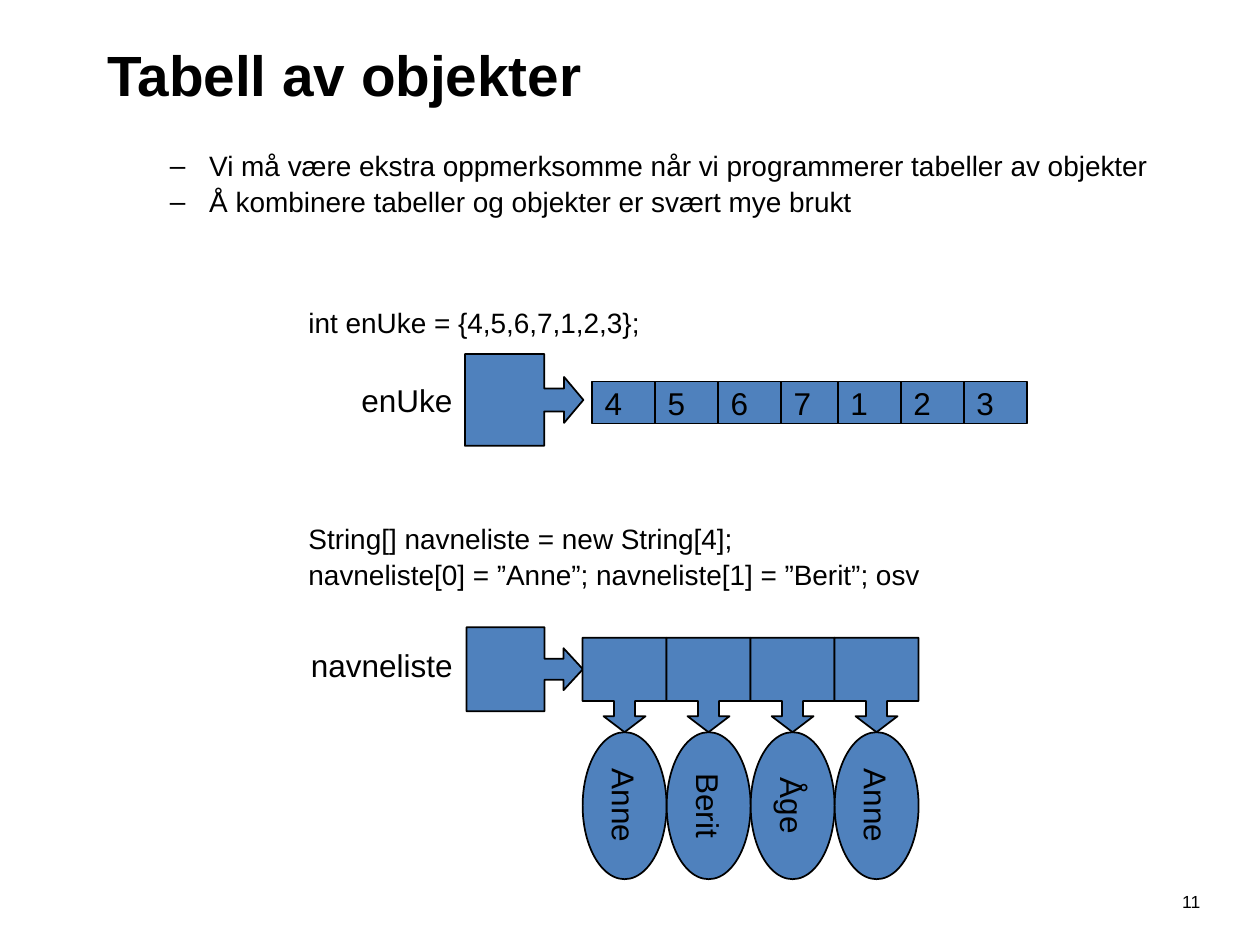
from pptx import Presentation
from pptx.dml.color import RGBColor
from pptx.enum.shapes import MSO_SHAPE
from pptx.enum.text import MSO_ANCHOR, PP_ALIGN
from pptx.oxml.xmlchemy import OxmlElement
from pptx.util import Pt

RECT, OVAL = MSO_SHAPE.RECTANGLE, MSO_SHAPE.OVAL
RIGHT_CALL = MSO_SHAPE.RIGHT_ARROW_CALLOUT
DOWN_CALL = MSO_SHAPE.DOWN_ARROW_CALLOUT
TOP, MIDDLE = MSO_ANCHOR.TOP, MSO_ANCHOR.MIDDLE
LEFT, CENTER = PP_ALIGN.LEFT, PP_ALIGN.CENTER
FONT, BLACK, BLUE = "Arial", "000000", "4F81BD"
TITLE_ONLY = 5


def color(code):
    return RGBColor.from_string(code)


def write(shape, text, size=18, bold=False, align=LEFT, anchor=TOP,
          wrap=True, line=None, before=0, margin=0, bullet=None):
    """Fill a shape with one paragraph per line of text."""
    frame = shape.text_frame
    frame.word_wrap = wrap
    frame.vertical_anchor = anchor
    frame.text = text
    for para in frame.paragraphs:
        para.alignment = align
        para.line_spacing = line
        para.space_before = Pt(before)
        para.font.size = Pt(size)
        para.font.bold = bold
        para.font.name = FONT
        para.font.color.rgb = color(BLACK)
        props = para._p.get_or_add_pPr()
        props.set("marL", str(Pt(margin)))
        if bullet:
            props.set("indent", str(Pt(-22.5)))
            face = OxmlElement("a:buFont")
            face.set("typeface", FONT)
            mark = OxmlElement("a:buChar")
            mark.set("char", bullet)
            # Bullets must precede the default run properties.
            props.find(para.font._element.tag).addprevious(face)
            face.addnext(mark)


def place(shape, x, y, w, h):
    shape.left, shape.top, shape.width, shape.height = map(Pt, (x, y, w, h))


def add_text(slide, x, y, w, h, text, **style):
    write(slide.shapes.add_textbox(Pt(x), Pt(y), Pt(w), Pt(h)), text, **style)


def add_box(slide, kind, x, y, w, h, adjust=()):
    box = slide.shapes.add_shape(kind, Pt(x), Pt(y), Pt(w), Pt(h))
    box.shadow.inherit = False
    box.fill.solid()
    box.fill.fore_color.rgb = color(BLUE)
    box.line.color.rgb = color(BLACK)
    box.line.width = Pt(1)
    for i, value in enumerate(adjust):
        box.adjustments[i] = value
    return box


def add_head(slide, x, y, w, h):
    title = slide.shapes.title
    place(title, x, y, w, 36)
    write(title, "Tabell av objekter", size=32.4, bold=True, anchor=MIDDLE)
    add_text(slide, x, y + 59.5, w, h - 59.5,
             "Vi må være ekstra oppmerksomme når vi programmerer "
             "tabeller av objekter\n"
             "Å kombinere tabeller og objekter er svært mye brukt",
             size=16, line=0.9, before=3.6, margin=58.5, bullet="–")


def add_code(slide, x, y, w, h, text):
    add_text(slide, x, y, w, h, text, size=16, line=0.9, before=3.6,
             margin=36)


def add_week(slide, x, y, w, h):
    """Name, reference and cells of the number array."""
    add_text(slide, x, y + 11.7, 66.3, 28.8, "enUke", wrap=False)
    add_box(slide, RIGHT_CALL, x + 66.3, y, 67.7, h,
            (0.25, 0.25, 0.21, 0.67))
    cell, overlap = 36, 3.6
    start = x + w - 7 * cell + overlap
    for i, digit in enumerate("4567123"):
        left = start + i * cell - (overlap if i > 3 else 0)
        box = add_box(slide, RECT, left, y + 15.7, cell, 24)
        write(box, digit, anchor=MIDDLE)


def add_names(slide, x, y, w, h):
    """Name, reference, cells and objects of the string array."""
    add_text(slide, x, y + 7.5, 95.8, 28.8, "navneliste", wrap=False)
    add_box(slide, RIGHT_CALL, x + 96, y, 66.5, 48,
            (0.25, 0.25, 0.23, 0.67))
    cell, drop, tall = 48, 54, 84
    start = x + w - 4 * cell
    for i, name in enumerate(("Anne", "Berit", "Åge", "Anne")):
        left = start + i * cell
        add_box(slide, DOWN_CALL, left, y + 6, cell, drop,
                (0.25, 0.25, 0.19, 0.67))
        oval = add_box(slide, OVAL, left - (tall - cell) / 2,
                       y + h - (tall + cell) / 2, tall, cell)
        oval.rotation = 90
        write(oval, name, align=CENTER, anchor=MIDDLE, wrap=False)


def main():
    deck = Presentation()
    deck.slide_width, deck.slide_height = Pt(720), Pt(540)
    slide = deck.slides.add_slide(deck.slide_layouts[TITLE_ONLY])
    add_head(slide, 54, 24, 612, 117)
    add_code(slide, 133.2, 173.5, 560, 30, "int enUke = {4,5,6,7,1,2,3};")
    add_week(slide, 199.4, 202.3, 387.4, 52.5)
    add_code(slide, 133.2, 296.5, 560, 50,
             "String[] navneliste = new String[4];\n"
             "navneliste[0] = ”Anne”; navneliste[1] = ”Berit”; osv")
    add_names(slide, 170.6, 358.4, 354.3, 144)
    add_text(slide, 667.4, 505.4, 26.6, 28.8, "11", size=10, align=CENTER)
    deck.save("out.pptx")


if __name__ == "__main__":
    main()
